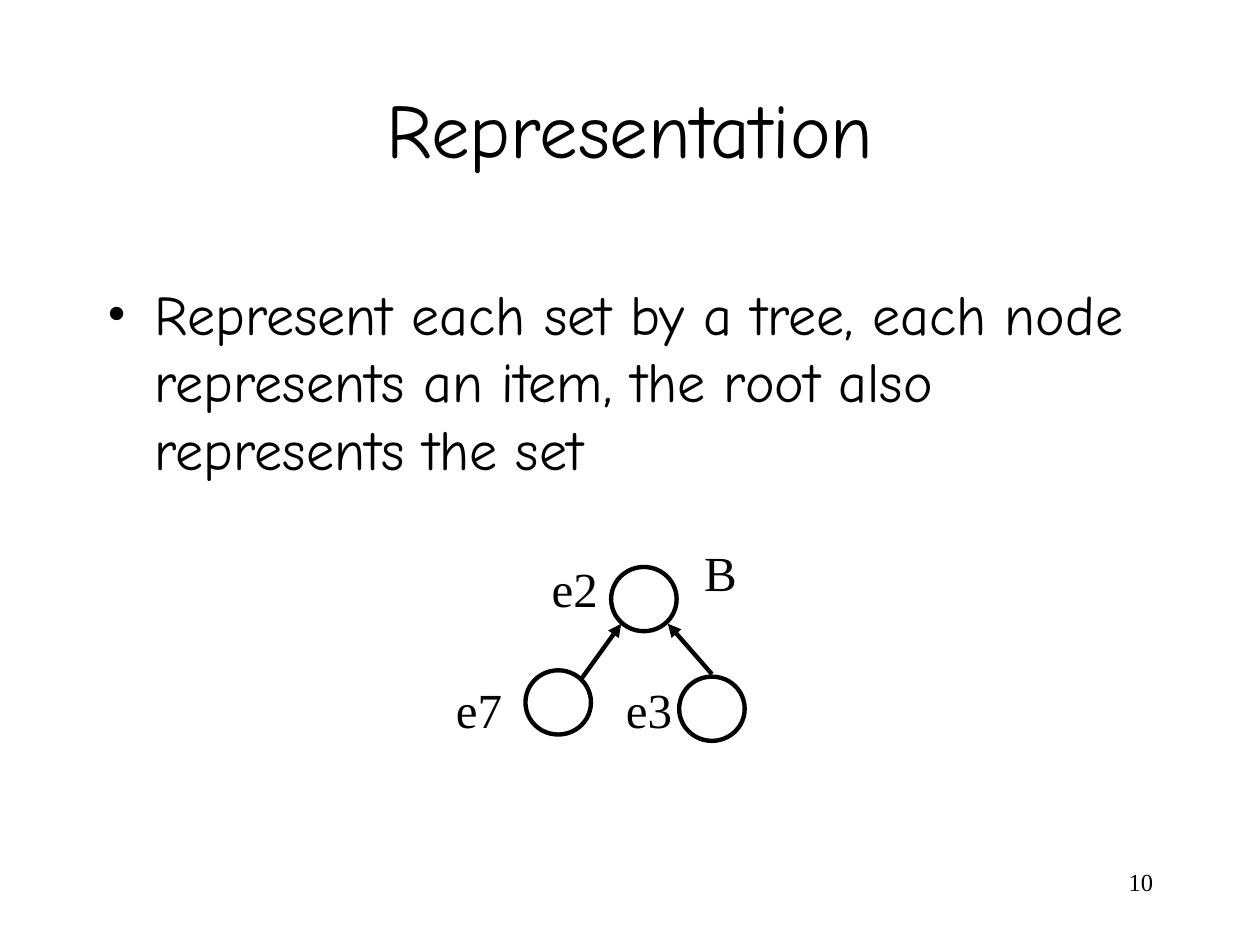
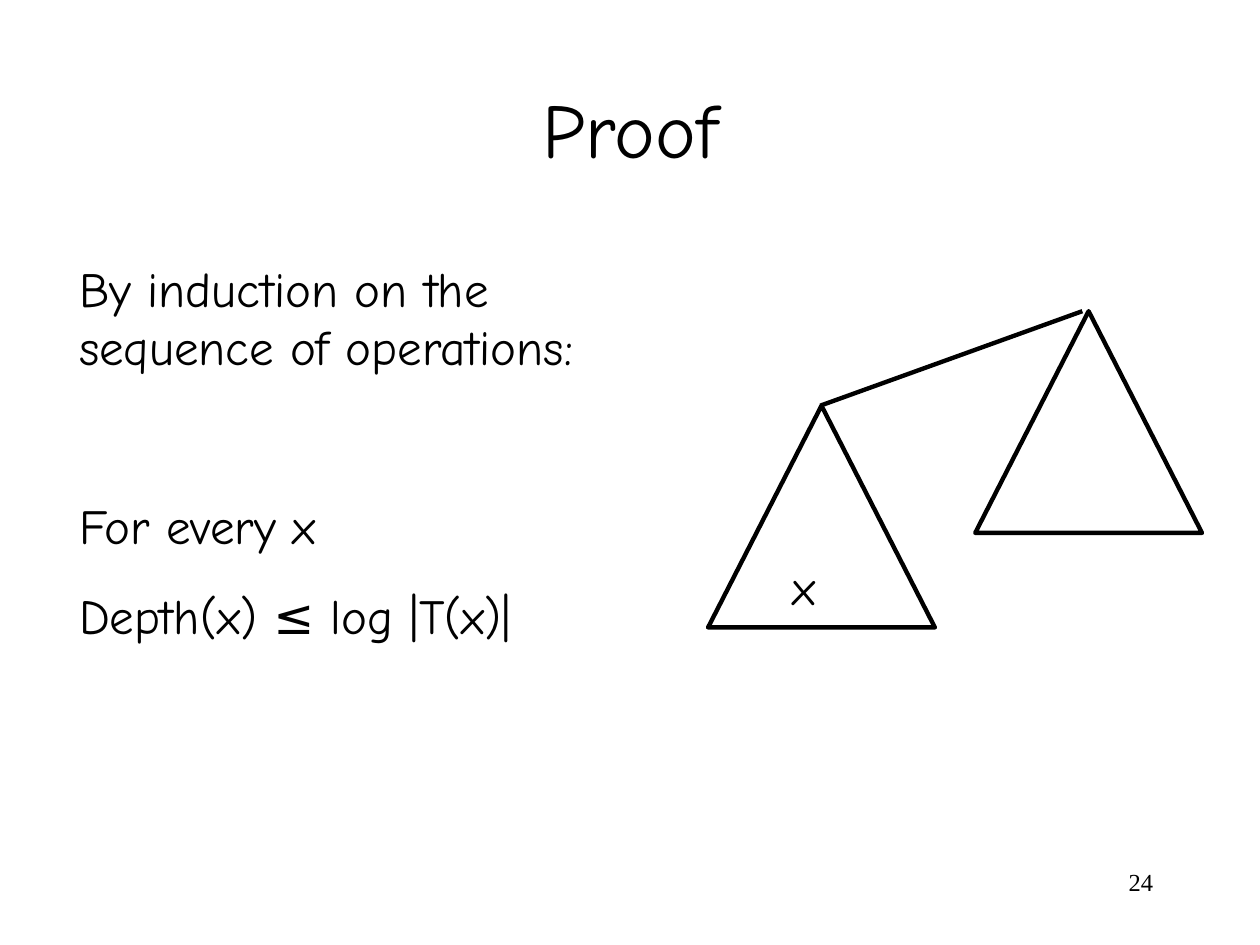
from pptx import Presentation
from pptx.dml.color import RGBColor
from pptx.enum.shapes import MSO_CONNECTOR, MSO_SHAPE
from pptx.enum.text import MSO_ANCHOR, PP_ALIGN
from pptx.oxml.ns import qn
from pptx.util import Inches, Pt
from lxml import etree

INK = {"black": "000000", "white": "FFFFFF"}
BLACK = RGBColor.from_string(INK["black"])
HAND, SERIF = "Comic Neue", "Times New Roman"
STROKE = Pt(2.5)


def write(shape, lines, size, font, align=PP_ALIGN.LEFT):
    frame = shape.text_frame
    frame.word_wrap = True
    for i, (text, gap) in enumerate(lines):
        para = frame.paragraphs[0] if i == 0 else frame.add_paragraph()
        para.alignment = align
        para.space_before = Pt(gap)
        run = para.add_run()
        run.text = text
        run.font.size = Pt(size)
        run.font.name = font
        run.font.color.rgb = BLACK
    return frame


def link(slide, start, end, arrow=False):
    x1, y1, x2, y2 = [Inches(v) for v in start + end]
    edge = slide.shapes.add_connector(MSO_CONNECTOR.STRAIGHT, x1, y1, x2, y2)
    edge.line.color.rgb = BLACK
    edge.line.width = STROKE
    if arrow:
        etree.SubElement(edge.line._get_or_add_ln(), qn("a:tailEnd"), type="triangle")
    etree.SubElement(edge._element.spPr, qn("a:effectLst"))


deck = Presentation()
deck.slide_width, deck.slide_height = Inches(10), Inches(7.5)

pages = [
    {
        "title": "Representation",
        "number": "10",
        "kind": MSO_SHAPE.OVAL,
        "size": (0.52, 0.51),
        "nodes": [(4.17, 5.32), (5.39, 5.37), (4.85, 4.5)],
        "edges": [((4.62, 5.38), (4.93, 4.95)), ((5.65, 5.35), (5.3, 4.95))],
        "arrow": True,
        "font": SERIF,
        "labels": [
            ("e2", 4.28, 4.38, 0.86),
            ("e3", 4.87, 5.34, 1.5),
            ("e7", 3.52, 5.34, 0.62),
            ("B", 5.49, 4.26, 0.86),
        ],
        "box": (0.75, 2.17, 8.5, 1.93),
        "body": [
            ("Represent each set by a tree, each node represents an item, "
             "the root also represents the set", 8),
        ],
        "points": 32,
        "bullet": True,
    },
    {
        "title": "Proof",
        "number": "24",
        "kind": MSO_SHAPE.ISOSCELES_TRIANGLE,
        "size": (1.8, 1.76),
        "nodes": [(5.62, 3.22), (7.74, 2.47)],
        "edges": [((6.51, 3.22), (8.59, 2.47))],
        "arrow": False,
        "font": HAND,
        "labels": [("x", 6.19, 4.37, 0.32)],
        "box": (0.53, 2, 4.87, 3.17),
        "body": [
            ("By induction on the sequence of operations:", 17.5),
            ("For every x", 68.5),
            ("Depth(x) ≤ log |T(x)|", 17.5),
        ],
        "points": 28,
        "bullet": False,
    },
]

for page in pages:
    slide = deck.slides.add_slide(deck.slide_layouts[5])
    slide.background.fill.solid()
    slide.background.fill.fore_color.rgb = RGBColor.from_string(INK["white"])

    title = slide.shapes.title
    title.left, title.top = Inches(0.75), Inches(0.39)
    title.width, title.height = Inches(8.5), Inches(1.25)
    frame = write(title, [(page["title"], 0)], 44, HAND, PP_ALIGN.CENTER)
    frame.vertical_anchor = MSO_ANCHOR.MIDDLE

    body = slide.shapes.add_textbox(*[Inches(v) for v in page["box"]])
    frame = write(body, page["body"], page["points"], HAND)
    if page["bullet"]:
        props = frame.paragraphs[0]._p.get_or_add_pPr()
        props.set("marL", str(Inches(0.38)))
        props.set("indent", str(Inches(-0.38)))
        etree.SubElement(props, qn("a:buFont"), typeface=SERIF)
        etree.SubElement(props, qn("a:buChar"), char="•")

    wide, high = page["size"]
    for left, top in page["nodes"]:
        node = slide.shapes.add_shape(
            page["kind"], Inches(left), Inches(top), Inches(wide), Inches(high))
        node.shadow.inherit = False
        node.fill.background()
        node.line.color.rgb = BLACK
        node.line.width = STROKE

    for start, end in page["edges"]:
        link(slide, start, end, page["arrow"])

    for text, left, top, span in page["labels"]:
        label = slide.shapes.add_textbox(
            Inches(left), Inches(top), Inches(span), Inches(0.57))
        write(label, [(text, 17.5)], 28, page["font"])

    number = slide.shapes.add_textbox(
        Inches(7.17), Inches(6.83), Inches(2.08), Inches(0.5))
    write(number, [(page["number"], 0)], 14, SERIF, PP_ALIGN.RIGHT)

deck.save("out.pptx")
